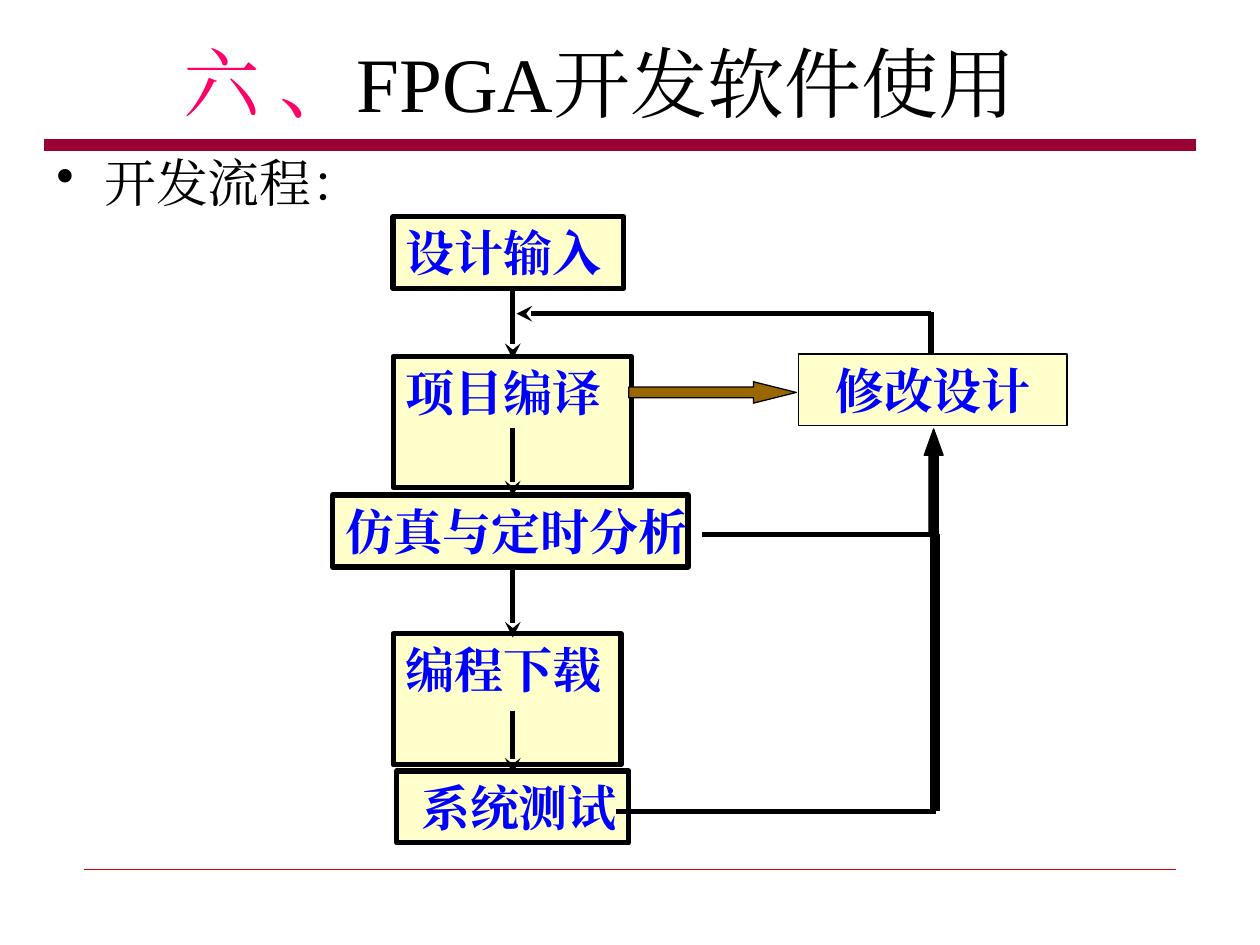
from dataclasses import dataclass

from lxml import etree
from pptx import Presentation
from pptx.dml.color import RGBColor
from pptx.enum.shapes import MSO_CONNECTOR, MSO_SHAPE
from pptx.enum.text import MSO_ANCHOR, PP_ALIGN
from pptx.oxml.ns import qn
from pptx.util import Inches, Pt

BLACK = RGBColor(0x00, 0x00, 0x00)
PINK = RGBColor(0xFF, 0x00, 0x66)
BLUE = RGBColor(0x00, 0x00, 0xFF)
CREAM = RGBColor(0xFF, 0xFF, 0xCC)
BROWN = RGBColor(0x99, 0x66, 0x00)
CRIMSON = RGBColor(0x99, 0x00, 0x33)
RED = RGBColor(0xCC, 0x00, 0x00)
LEFT, CENTER = PP_ALIGN.LEFT, PP_ALIGN.CENTER
TOP, MIDDLE = MSO_ANCHOR.TOP, MSO_ANCHOR.MIDDLE
RECTANGLE, RIGHT_ARROW = MSO_SHAPE.RECTANGLE, MSO_SHAPE.RIGHT_ARROW
STRAIGHT = MSO_CONNECTOR.STRAIGHT
FONT = "Times New Roman"
FLOW_X = 4.07
RETURN_X = 7.39


@dataclass
class Step:
    text: str
    left: float
    top: float
    width: float
    height: float = 0.57
    align: PP_ALIGN = LEFT
    border: float = 3
    right_inset: float = 0
    wrap: bool = True


@dataclass
class Line:
    start: tuple[float, float]
    end: tuple[float, float]
    width: float = 3
    color: RGBColor = BLACK
    arrow: bool = False


@dataclass
class BlockArrow:
    left: float
    top: float
    width: float
    height: float
    head: float
    color: RGBColor
    rotation: float = 0


STEPS = [
    Step("设计输入", 3.12, 1.72, 1.83),
    Step("项目编译", 3.12, 2.83, 1.89, height=1.04),
    Step("仿真与定时分析", 2.64, 3.93, 2.82, wrap=False),
    Step("编程下载", 3.12, 5.03, 1.81, height=1.04),
    Step("系统测试", 3.15, 6.12, 1.84, align=CENTER),
    Step("修改设计", 6.34, 2.81, 2.13, align=CENTER, border=0.74, right_inset=0.1),
]
FLOW_SPANS = [(2.31, 2.85), (3.4, 3.94), (4.51, 5.06), (5.64, 6.14)]
BLOCK_ARROWS = [
    BlockArrow(4.99, 3.03, 1.33, 0.17, 2, BROWN),
    BlockArrow(6.99, 3.75, 0.84, 0.15, 1.39, BLACK, rotation=270),
]
LINES = [
    Line((4.89, 6.44), (7.43, 6.44)),
    Line((5.57, 4.24), (RETURN_X, 4.24)),
    Line((7.42, 6.44), (7.42, 4.24), width=6),
    Line((RETURN_X, 2.82), (RETURN_X, 2.48)),
    Line((RETURN_X, 2.49), (4.1, 2.49), arrow=True),
    Line((0.35, 1.15), (9.49, 1.15), width=7, color=CRIMSON),
]


def add_text(paragraph, text: str, *, size: float, color: RGBColor, bold: bool = False) -> None:
    run = paragraph.add_run()
    run.text = text
    run.font.name = FONT
    run.font.size = Pt(size)
    run.font.bold = bold
    run.font.color.rgb = color
    east_asian = etree.SubElement(run.font._element, qn("a:ea"))
    east_asian.set("typeface", FONT)


def set_frame(frame, *, anchor: MSO_ANCHOR, wrap: bool = True, right: float = 0.1) -> None:
    frame.word_wrap = wrap
    frame.vertical_anchor = anchor
    frame.margin_left, frame.margin_right = Inches(0.1), Inches(right)
    frame.margin_top = frame.margin_bottom = Inches(0.05)


def place(shape, left: float, top: float, width: float, height: float) -> None:
    shape.left, shape.top = Inches(left), Inches(top)
    shape.width, shape.height = Inches(width), Inches(height)


def add_filled_shape(slide, kind: MSO_SHAPE, box: tuple, fill: RGBColor, border: float):
    shape = slide.shapes.add_shape(kind, *(Inches(value) for value in box))
    shape.shadow.inherit = False
    shape.fill.solid()
    shape.fill.fore_color.rgb = fill
    shape.line.color.rgb = BLACK
    shape.line.width = Pt(border)
    return shape


def add_step(slide, step: Step) -> None:
    box = (step.left, step.top, step.width, step.height)
    shape = add_filled_shape(slide, RECTANGLE, box, CREAM, step.border)
    set_frame(shape.text_frame, anchor=TOP, wrap=step.wrap, right=step.right_inset)
    paragraph = shape.text_frame.paragraphs[0]
    paragraph.alignment = step.align
    add_text(paragraph, step.text, size=28, color=BLUE, bold=True)


def add_block_arrow(slide, arrow: BlockArrow) -> None:
    box = (arrow.left, arrow.top, arrow.width, arrow.height)
    shape = add_filled_shape(slide, RIGHT_ARROW, box, arrow.color, 0.74)
    shape.adjustments[0] = 0.5
    shape.adjustments[1] = arrow.head
    shape.rotation = arrow.rotation


def add_line(slide, line: Line) -> None:
    ends = (Inches(value) for value in (*line.start, *line.end))
    connector = slide.shapes.add_connector(STRAIGHT, *ends)
    connector.line.color.rgb = line.color
    connector.line.width = Pt(line.width)
    if line.arrow:
        tail = etree.SubElement(connector.line._get_or_add_ln(), qn("a:tailEnd"))
        tail.set("type", "stealth")
    etree.SubElement(connector._element.spPr, qn("a:effectLst"))


def add_title(slide) -> None:
    title = slide.shapes.title
    place(title, 0.51, 0.14, 8.5, 1.01)
    set_frame(title.text_frame, anchor=MIDDLE)
    paragraph = title.text_frame.paragraphs[0]
    paragraph.alignment = CENTER
    add_text(paragraph, "六 、", size=44, color=PINK)
    add_text(paragraph, "FPGA开发软件使用", size=44, color=BLACK)


def add_bullet(slide) -> None:
    box = slide.shapes.add_textbox(Inches(0.35), Inches(1.15), Inches(8.5), Inches(0.61))
    set_frame(box.text_frame, anchor=TOP)
    paragraph = box.text_frame.paragraphs[0]
    paragraph.space_before = Pt(8)
    add_text(paragraph, "开发流程：", size=29.6, color=BLACK)
    properties = paragraph._p.get_or_add_pPr()
    properties.set("marL", str(Inches(0.38)))
    properties.set("indent", str(Inches(-0.38)))
    etree.SubElement(properties, qn("a:buChar")).set("char", "•")


def main() -> None:
    presentation = Presentation()
    presentation.slide_width, presentation.slide_height = Inches(10), Inches(7.5)
    slide = presentation.slides.add_slide(presentation.slide_layouts[5])
    add_line(slide, Line((0.67, 6.9), (9.33, 6.9), width=0.26, color=RED))
    add_title(slide)
    add_bullet(slide)
    for step in STEPS:
        add_step(slide, step)
    for top, bottom in FLOW_SPANS:
        add_line(slide, Line((FLOW_X, top), (FLOW_X, bottom), arrow=True))
    for arrow in BLOCK_ARROWS:
        add_block_arrow(slide, arrow)
    for line in LINES:
        add_line(slide, line)
    presentation.save("out.pptx")


main()
